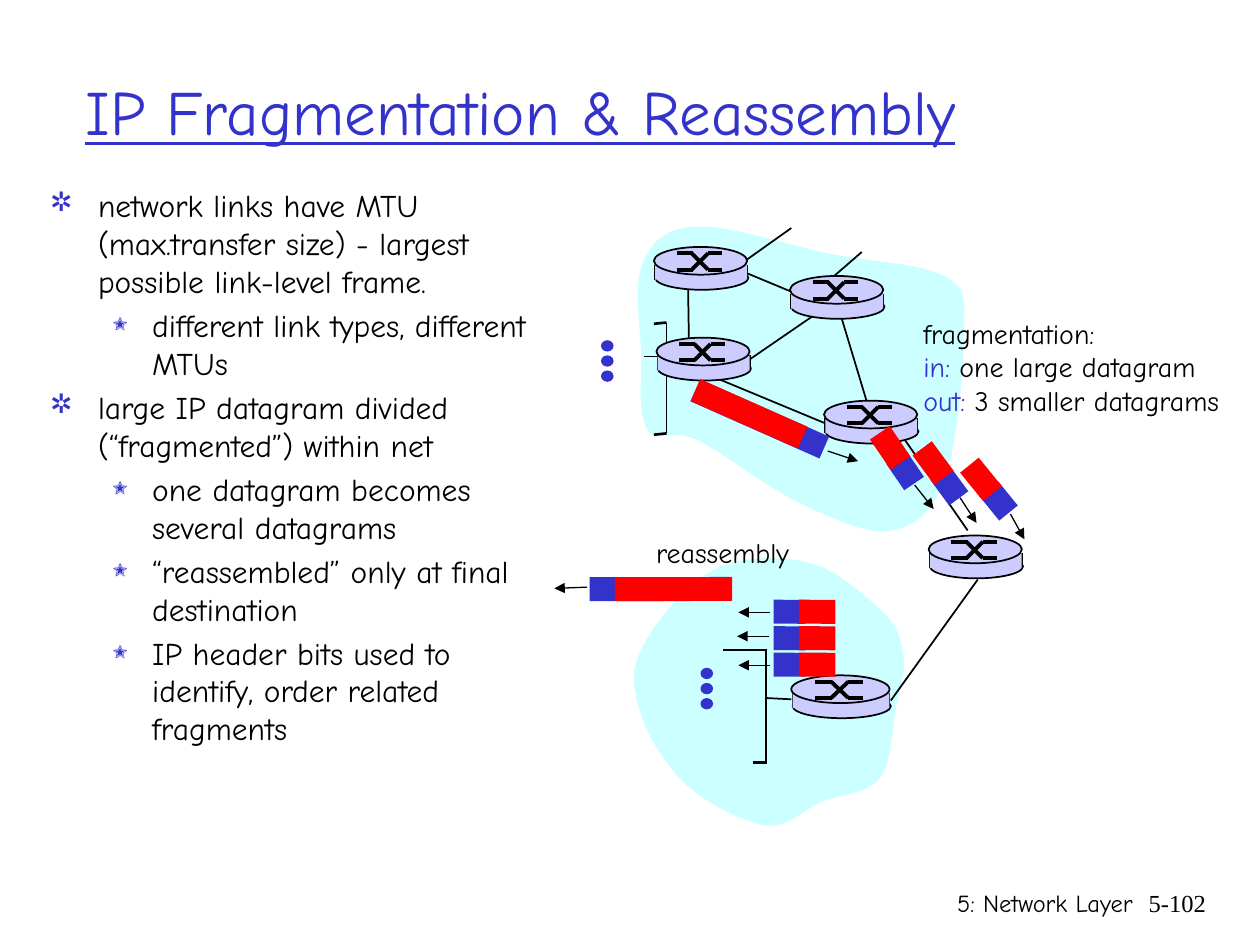
"""Build the IP fragmentation and reassembly slide."""
import pptx
import pptx.dml.color
import pptx.enum.shapes
import pptx.enum.text
import pptx.oxml.ns
import pptx.util
from lxml import etree
from pptx.util import Inches, Pt

BLACK, BLUE, RED, LILAC, CYAN = "000000", "3333CC", "FF0000", "CCCCFF", "CCFFFF"
SANS, SERIF, DINGBATS = "Comic Neue", "Times New Roman", "ZapfDingbats"
RECT = pptx.enum.shapes.MSO_SHAPE.RECTANGLE
OVAL = pptx.enum.shapes.MSO_SHAPE.OVAL
ALIGN = pptx.enum.text.PP_ALIGN
ANCHOR = pptx.enum.text.MSO_ANCHOR

TITLE = "IP Fragmentation & Reassembly"
POINTS = [
    (0, "network links have MTU (max.transfer size) - largest possible link-level frame."),
    (1, "different link types, different MTUs"),
    (0, "large IP datagram divided (“fragmented”) within net"),
    (1, "one datagram becomes several datagrams"),
    (1, "“reassembled” only at final destination"),
    (1, "IP header bits used to identify, order related fragments"),
]
BULLETS = [("❒", 85, 0.38, 0.38), ("❍", 75, 0.81, 0.31)]
FRAGMENTATION = [
    [("fragmentation:", BLACK)],
    [("in:", BLUE), (" one large datagram", BLACK)],
    [("out:", BLUE), (" 3 smaller datagrams", BLACK)],
]

CLOUDS = [
    [(5.52, 1.8), (5.28, 1.81), (5.17, 1.92), (5.1, 2.09), (5.03, 2.26), (5.08, 2.59),
     (5.09, 2.81), (5.09, 3.03), (5.06, 3.3), (5.14, 3.41), (5.21, 3.52), (5.33, 3.4),
     (5.53, 3.49), (5.74, 3.59), (6.1, 3.88), (6.36, 4), (6.62, 4.12), (6.89, 4.25),
     (7.08, 4.21), (7.27, 4.18), (7.41, 4.05), (7.5, 3.79), (7.6, 3.53), (7.65, 2.92),
     (7.65, 2.66), (7.65, 2.39), (7.69, 2.3), (7.51, 2.2), (7.33, 2.09), (6.9, 2.08),
     (6.57, 2.01), (6.24, 1.94), (5.77, 1.78), (5.52, 1.8)],
    [(5.03, 5.34), (5.07, 5.08), (5.37, 4.71), (5.6, 4.56), (5.83, 4.41), (6.17, 4.41),
     (6.4, 4.46), (6.64, 4.51), (6.88, 4.74), (7.01, 4.86), (7.14, 4.99), (7.15, 5.08),
     (7.17, 5.21), (7.19, 5.34), (7.14, 5.46), (7.11, 5.63), (7.08, 5.79), (7.08, 6.06),
     (6.98, 6.18), (6.88, 6.3), (6.69, 6.3), (6.53, 6.36), (6.38, 6.42), (6.26, 6.58),
     (6.06, 6.55), (5.87, 6.51), (5.54, 6.35), (5.37, 6.15), (5.2, 5.95), (5.03, 5.67),
     (5.03, 5.34)],
]
LINKS = [
    (5.29, 2.56, 5.29, 3.44), (5.11, 2.83, 5.25, 2.83), (5.74, 2.09, 6.46, 2.39),
    (6.66, 2.46, 6.88, 3.19), (5.46, 2.21, 5.47, 2.85), (5.49, 2.92, 6.55, 3.36),
    (7.68, 4.21, 7.16, 3.46), (6.58, 2.42, 5.75, 2.99), (6.28, 1.81, 5.76, 2.18),
    (6.84, 2, 6.54, 2.26), (6.08, 5.16, 6.08, 6.05), (6.08, 5.54, 6.28, 5.55),
    (7.76, 4.6, 7.07, 5.56),
]
LAN_ENDS = [(5.19, 2.57, 5.29, 2.56), (5.19, 3.45, 5.29, 3.44),
            (5.74, 5.16, 6.09, 5.16), (5.98, 6.05, 6.09, 6.05)]
HOST_DOTS = [(4.77, 2.7), (5.56, 5.3)]
ROUTERS = [(5.19, 1.96, 0.74), (5.21, 2.68, 0.74), (6.27, 2.19, 0.74),
           (6.54, 3.18, 0.74), (6.28, 5.36, 0.78), (7.37, 4.25, 0.74)]
SWITCH_MARK = [(0.18, 0.05, 0.31, 0.05), (0.43, 0.18, 0.54, 0.18), (0.3, 0.05, 0.43, 0.18),
               (0.18, 0.18, 0.31, 0.18), (0.43, 0.05, 0.54, 0.05), (0.3, 0.18, 0.43, 0.05)]
LARGE, SMALL = (1.12, 0.93), (0.25, 0.29)
DATAGRAMS = [
    (LARGE, (5.47, 3.23), (5.48, 3.19), 23.9),
    (SMALL, (7.06, 3.64), (6.92, 3.46), 55.8),
    (SMALL, (7.41, 3.76), (7.26, 3.58), 53.6),
    (SMALL, (7.8, 3.88), (7.64, 3.71), 50.9),
    *[(SMALL, (6.14, 4.76 + 0.21 * row), (6.34, 4.76 + 0.21 * row), 180.4) for row in range(3)],
    (LARGE, (4.68, 4.58), (4.88, 4.58), 179.9),
]
MOVES = [(6.57, 3.58, 6.81, 3.66), (7.26, 3.85, 7.41, 4.04), (7.62, 3.95, 7.75, 4.15),
         (8.02, 4.08, 8.13, 4.28), (6.11, 4.86, 5.86, 4.86), (6.1, 5.05, 5.85, 5.05),
         (6.11, 5.28, 5.86, 5.28), (4.66, 4.66, 4.4, 4.67)]


def rgb(color):
    return pptx.dml.color.RGBColor.from_string(color)


def child(parent, tag, **attributes):
    return etree.SubElement(parent, pptx.oxml.ns.qn(tag), attributes)


def paint(shape, fill, outline=False):
    shape.shadow.inherit = False
    shape.fill.solid()
    shape.fill.fore_color.rgb = rgb(fill)
    if outline:
        shape.line.color.rgb = rgb(BLACK)
        shape.line.width = Pt(1)
    else:
        shape.line.fill.background()


def add_group():
    return slide.shapes.add_group_shape().shapes


def add_block(parts, kind, x, y, w, h, fill, outline=False, angle=0):
    block = parts.add_shape(kind, Inches(x), Inches(y), Inches(w), Inches(h))
    paint(block, fill, outline)
    block.rotation = angle


def add_line(parts, ends, width=1, arrow=False):
    line = parts.add_connector(
        pptx.enum.shapes.MSO_CONNECTOR.STRAIGHT, *[Inches(end) for end in ends])
    line.line.color.rgb = rgb(BLACK)
    line.line.width = Pt(width)
    if arrow:
        child(line.line._get_or_add_ln(), "a:tailEnd", type="triangle")
    child(line._element.spPr, "a:effectLst")


def add_cloud(controls):
    start, *rest = [(Inches(x), Inches(y)) for x, y in controls]
    builder = slide.shapes.build_freeform(*start, scale=1.0)
    builder.add_line_segments(rest, close=True)
    cloud = builder.convert_to_shape()
    paint(cloud, CYAN)
    steps = list(cloud._element.iter(pptx.oxml.ns.qn("a:lnTo")))
    for i in range(0, len(steps), 3):
        curve = etree.Element(pptx.oxml.ns.qn("a:cubicBezTo"))
        steps[i].addprevious(curve)
        for step in steps[i:i + 3]:
            curve.append(step[0])
            step.getparent().remove(step)


def add_router(x, y, w):
    stretch = w / 0.74
    router = add_group()
    add_block(router, OVAL, x + 0.01, y + 0.15, w, 0.19, LILAC, True)
    for side in (x + 0.01, x + w):
        add_line(router, (side, y + 0.14, side, y + 0.26))
    add_block(router, RECT, x + 0.01, y + 0.14, w - 0.01, 0.12, LILAC)
    add_block(router, OVAL, x, y, w, 0.22, LILAC, True)
    for x1, y1, x2, y2 in SWITCH_MARK:
        add_line(router, (x + x1 * stretch, y + y1, x + x2 * stretch, y + y2), 2.25)


def add_text(box, lines, size, font=SANS, wrap=True, align=ALIGN.LEFT,
             anchor=ANCHOR.TOP, underline=None, levels=None):
    frame = slide.shapes.add_textbox(*[Inches(v) for v in box]).text_frame
    frame.word_wrap = wrap
    frame.vertical_anchor = anchor
    for i, line in enumerate(lines):
        paragraph = frame.add_paragraph() if i else frame.paragraphs[0]
        paragraph.alignment = align
        if levels:
            paragraph.level = levels[i]
            if i:
                paragraph.space_before = Pt(3.6)
            mark, percent, margin, hanging = BULLETS[levels[i]]
            properties = paragraph._p.get_or_add_pPr()
            properties.set("marL", str(Inches(margin)))
            properties.set("indent", str(-Inches(hanging)))
            child(child(properties, "a:buClr"), "a:srgbClr", val=BLUE)
            child(properties, "a:buSzPct", val=str(percent * 1000))
            child(properties, "a:buFont", typeface=DINGBATS)
            child(properties, "a:buChar", char=mark)
        for words, color in line:
            run = paragraph.add_run()
            run.text = words
            run.font.size = Pt(size)
            run.font.name = font
            run.font.underline = underline
            run.font.color.rgb = rgb(color)


deck = pptx.Presentation()
deck.slide_width, deck.slide_height = Inches(10), Inches(7.5)
slide = deck.slides.add_slide(deck.slide_layouts[6])

add_text((0.58, 0.25, 8.5, 1.25), [[(TITLE, BLUE)]], 36, anchor=ANCHOR.MIDDLE, underline=True)
add_text((0.3, 1.43, 4.17, 5.08), [[(words, BLACK)] for _, words in POINTS], 18,
         levels=[level for level, _ in POINTS])
for cloud in CLOUDS:
    add_cloud(cloud)
for lan_end in LAN_ENDS:
    add_line(slide.shapes, lan_end, 1.5)
for left, top in HOST_DOTS:
    dots = add_group()
    for row in range(3):
        add_block(dots, OVAL, left, top + 0.12 * row, 0.1, 0.09, BLUE)
for link in LINKS:
    add_line(slide.shapes, link)
for router in ROUTERS:
    add_router(*router)
for (header_width, payload_width), header, payload, angle in DATAGRAMS:
    datagram = add_group()
    add_block(datagram, RECT, *header, header_width, 0.19, BLUE, angle=angle)
    add_block(datagram, RECT, *payload, payload_width, 0.19, RED, angle=angle)
for move in MOVES:
    add_line(slide.shapes, move, 0.75, arrow=True)
add_text((7.23, 2.46, 2.77, 0.9), FRAGMENTATION, 16, wrap=False)
add_text((5.11, 4.2, 1.36, 0.37), [[("reassembly", BLACK)]], 16, wrap=False)
add_text((5.92, 7, 3.17, 0.5), [[("5: Network Layer", BLACK)]], 14, align=ALIGN.RIGHT)
add_text((8.93, 7, 0.74, 0.5), [[("5-102", BLACK)]], 14, SERIF, align=ALIGN.RIGHT)

deck.save("out.pptx")
